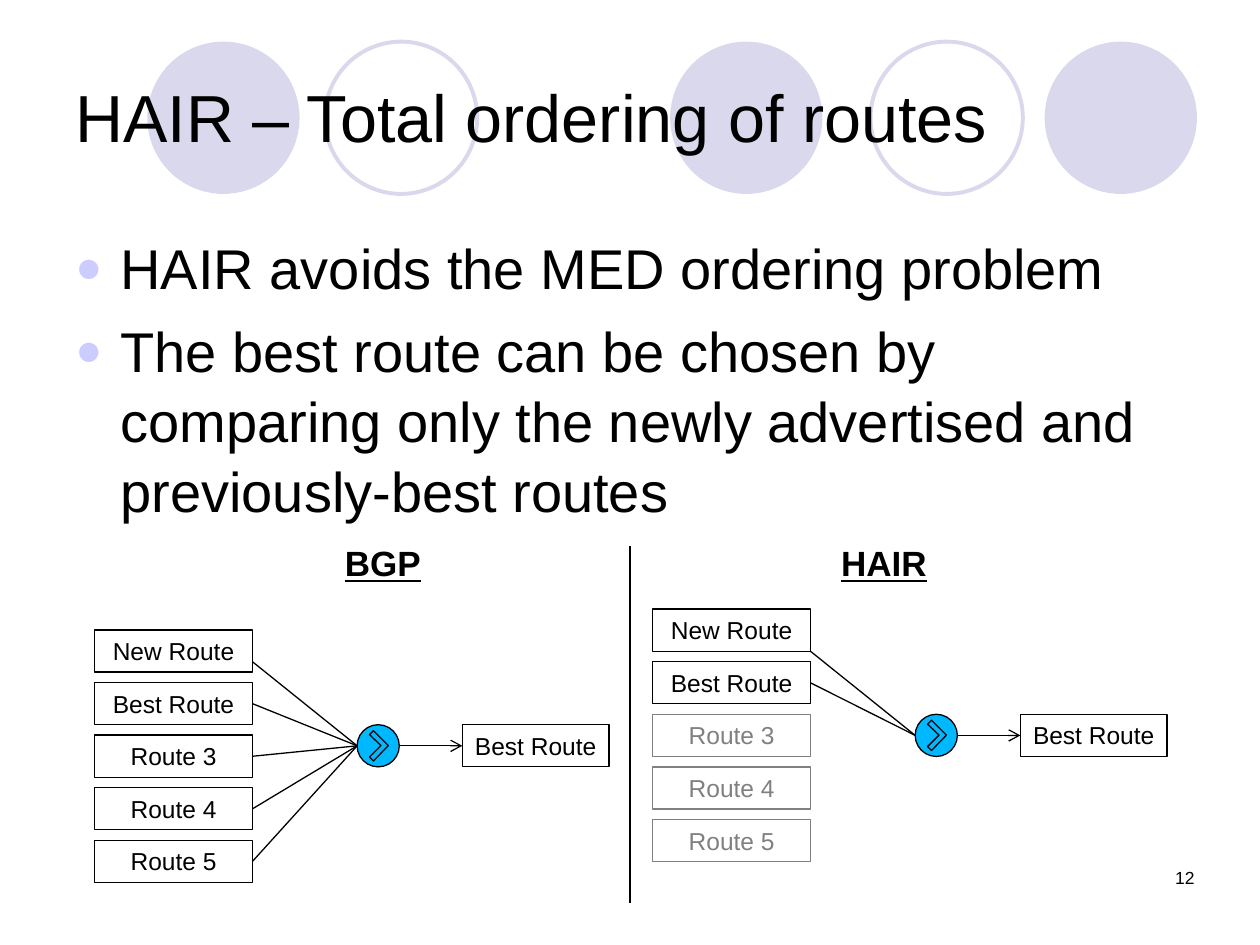
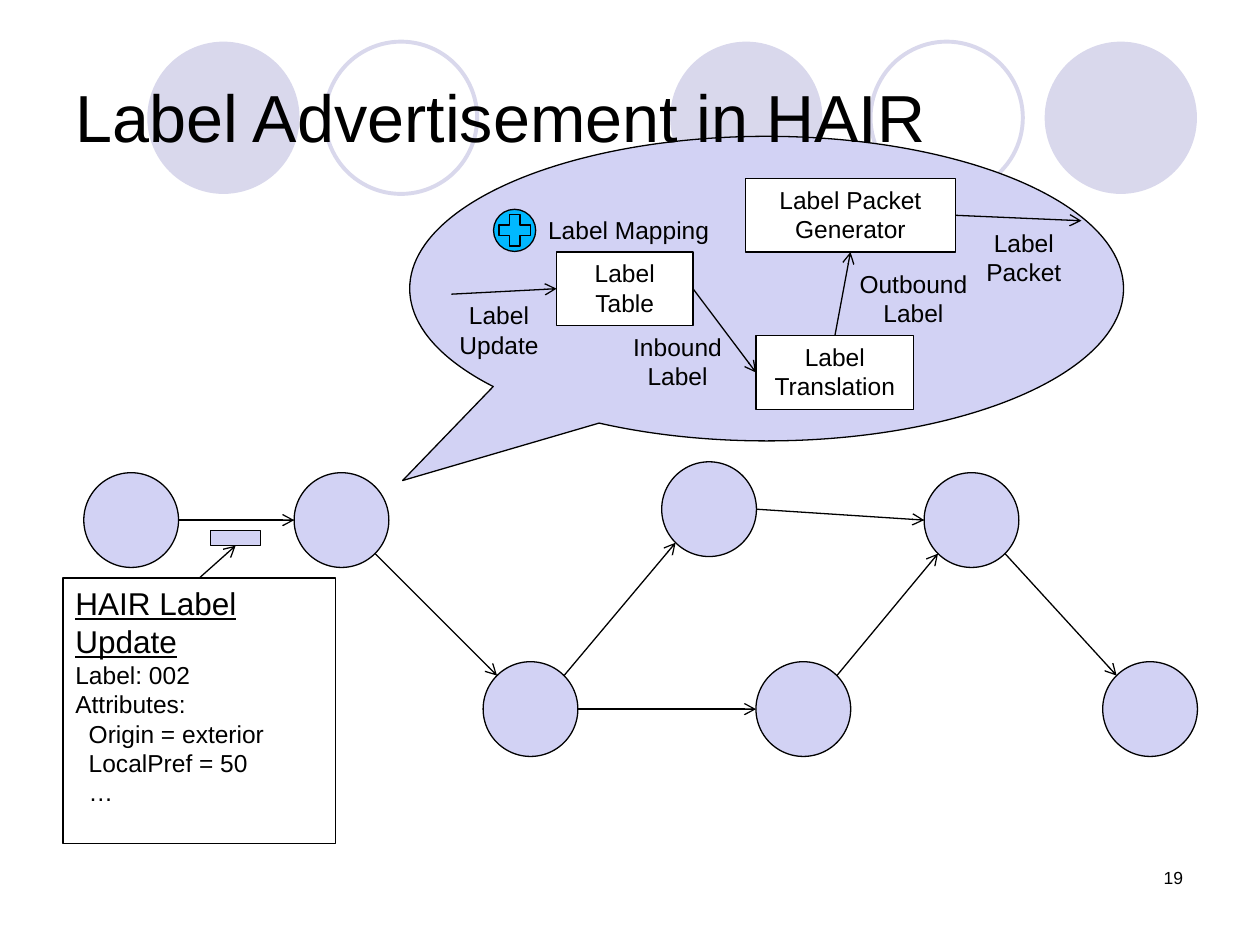
"""Build two slides on route ordering and label advertisement in HAIR."""
from collections import namedtuple
from dataclasses import dataclass
from math import hypot

from lxml import etree
from pptx import Presentation
from pptx.dml.color import RGBColor
from pptx.enum import shapes as kinds, text as layout
from pptx.oxml import ns
from pptx.util import Cm, Pt


@dataclass(frozen=True)
class Theme:
    """Hold the colours and type sizes of the deck."""
    font: str = "Arial"
    ink: str = "000000"
    muted: str = "808080"
    paper: str = "FFFFFF"
    band: str = "D9D8EC"
    bullet: str = "CCCCFF"
    node: str = "D2D2F4"
    operator: str = "00B8FF"
    title: int = 38
    body: int = 32
    heading: int = 20
    card_heading: int = 18
    label: int = 14
    footer: int = 10
    hairline: float = 0.75
    ring: float = 2.25


THEME = Theme()
SHAPE = kinds.MSO_SHAPE
ALIGN = layout.PP_ALIGN
Side = namedtuple("Side", "shape index")
TOP, LEFT, BOTTOM, RIGHT = range(4)

BAND_TOP, BAND_SIZE = 0.84, 3.07
BAND_DISCS = (13.51, 21.06, 2.97)
BAND_RINGS = (17.55, 6.55)
ROUTES = ("New Route", "Best Route", "Route 3", "Route 4", "Route 5")
ROUTE_WIDTH, ROUTE_HEIGHT, ROUTE_PITCH = 3.18, 0.85, 1.06
OPERATOR_SIZE = 0.85
CHEVRON = ((0.33, 0.12), (0.25, 0.2), (0.48, 0.42),
           (0.25, 0.65), (0.33, 0.73), (0.63, 0.42))
NODE_SIZE = 1.91
PROCESS_HEIGHT = 1.48


def cm(values):
    """Turn plain numbers into centimetre lengths."""
    return [Cm(value) for value in values]


def paint(shape, fill=None, line=THEME.ink, width=THEME.hairline):
    """Give a shape its fill and outline and remove its shadow."""
    shape.shadow.inherit = False
    if fill:
        shape.fill.solid()
        shape.fill.fore_color.rgb = RGBColor.from_string(fill)
    else:
        shape.fill.background()
    if line:
        shape.line.color.rgb = RGBColor.from_string(line)
        shape.line.width = Pt(width)
    else:
        shape.line.fill.background()
    return shape


def draw(slide, kind, box, **look):
    """Add a painted preset shape."""
    return paint(slide.shapes.add_shape(kind, *cm(box)), **look)


def set_font(paragraph, size, color=THEME.ink, bold=False, underline=False):
    """Format a paragraph's text."""
    font = paragraph.font
    font.name, font.size = THEME.font, Pt(size)
    font.bold, font.underline = bold, underline
    font.color.rgb = RGBColor.from_string(color)


def write(shape, words, size=THEME.label, align=ALIGN.CENTER,
          anchor=layout.MSO_ANCHOR.TOP, **look):
    """Fill a shape with text, one paragraph per line."""
    frame = shape.text_frame
    frame.word_wrap, frame.vertical_anchor = True, anchor
    frame.text = words
    for paragraph in frame.paragraphs:
        paragraph.alignment = align
        set_font(paragraph, size, **look)
    return frame.paragraphs


def label(slide, box, words, **look):
    """Add a free-standing text."""
    return write(slide.shapes.add_textbox(*cm(box)), words, **look)


def boxed(slide, box, words, fill=None, color=THEME.ink):
    """Add an outlined rectangle with a centred caption."""
    rectangle = draw(slide, SHAPE.RECTANGLE, box, fill=fill, line=color)
    write(rectangle, words, color=color)
    return rectangle


def link(slide, start, end, arrow=True):
    """Join two points or rectangle sides with a straight line."""
    corners = [(0, 0) if isinstance(tip, Side) else tip for tip in (start, end)]
    connector = slide.shapes.add_connector(
        kinds.MSO_CONNECTOR.STRAIGHT, *cm(corners[0]), *cm(corners[1]))
    for tip, join in ((start, connector.begin_connect), (end, connector.end_connect)):
        if isinstance(tip, Side):
            join(tip.shape, tip.index)
    connector.line.color.rgb = RGBColor.from_string(THEME.ink)
    connector.line.width = Pt(THEME.hairline)
    properties = connector._element.spPr
    if arrow:
        outline = properties.find(ns.qn("a:ln"))
        etree.SubElement(outline, ns.qn("a:tailEnd"), type="arrow")
    etree.SubElement(properties, ns.qn("a:effectLst"))


def start_slide(deck, number, number_left):
    """Add a blank slide with the band of circles and the page number."""
    slide = deck.slides.add_slide(deck.slide_layouts[6])
    for left in BAND_DISCS:
        draw(slide, SHAPE.OVAL, (left, BAND_TOP, BAND_SIZE, BAND_SIZE),
             fill=THEME.band, line=None)
    for left in BAND_RINGS:
        draw(slide, SHAPE.OVAL, (left, BAND_TOP, BAND_SIZE, BAND_SIZE),
             line=THEME.band, width=THEME.ring)
    label(slide, (number_left, 17.35, 5.89, 1.24), number,
          size=THEME.footer, align=ALIGN.RIGHT)
    return slide


def add_title(slide, words):
    """Add the slide title."""
    label(slide, (1.27, 0.76, 22.86, 3.16), words, size=THEME.title,
          align=ALIGN.LEFT, anchor=layout.MSO_ANCHOR.MIDDLE)


def add_bullets(slide, box, points):
    """Add a bulleted list."""
    frame = slide.shapes.add_textbox(*cm(box)).text_frame
    frame.word_wrap = True
    frame.text = "\n".join(points)
    for index, paragraph in enumerate(frame.paragraphs):
        paragraph.line_spacing = 1.04
        paragraph.space_before = Pt(8 if index else 0)
        properties = paragraph._p.get_or_add_pPr()
        properties.set("marL", str(Cm(0.91)))
        properties.set("indent", str(-Cm(0.91)))
        color = etree.SubElement(properties, ns.qn("a:buClr"))
        etree.SubElement(color, ns.qn("a:srgbClr"), val=THEME.bullet)
        etree.SubElement(properties, ns.qn("a:buSzPct"), val="80000")
        etree.SubElement(properties, ns.qn("a:buFont"), typeface=THEME.font)
        etree.SubElement(properties, ns.qn("a:buChar"), char="●")
        set_font(paragraph, THEME.body)


def add_operator(slide, left, top):
    """Add the disc behind an operator symbol."""
    draw(slide, SHAPE.OVAL, (left, top, OPERATOR_SIZE, OPERATOR_SIZE),
         fill=THEME.operator)


def add_comparator(slide, left, top):
    """Add a disc with a chevron that picks the best route."""
    add_operator(slide, left, top)
    corners = [cm((left + x, top + y)) for x, y in CHEVRON]
    builder = slide.shapes.build_freeform(*corners[0])
    builder.add_line_segments(corners[1:], close=True)
    paint(builder.convert_to_shape(), fill=THEME.operator)


def add_selection(slide, left, top, comparator_top, compared, first_exit):
    """Show which routes are compared to find the best one."""
    comparator_left = left + 5.29
    middle = comparator_top + OPERATOR_SIZE / 2
    add_comparator(slide, comparator_left, comparator_top)
    for row, name in enumerate(ROUTES):
        color = THEME.ink if row < compared else THEME.muted
        route = boxed(slide, (left, top + row * ROUTE_PITCH, ROUTE_WIDTH, ROUTE_HEIGHT),
                      name, color=color)
        if row < compared:
            exit_point = Side(route, RIGHT) if row else (left + ROUTE_WIDTH, top + first_exit)
            link(slide, exit_point, (comparator_left, middle), arrow=False)
    best = boxed(slide, (left + 7.41, comparator_top, 2.96, ROUTE_HEIGHT), "Best Route")
    link(slide, (comparator_left + OPERATOR_SIZE, middle), Side(best, LEFT))


def rim(node, direction):
    """Return the point on a node's edge in a given direction."""
    radius = NODE_SIZE / 2
    reach = radius / hypot(*direction)
    return [start + radius + reach * step for start, step in zip(node, direction)]


def add_network(slide):
    """Draw the routers and the links between them."""
    high, low = 9.53, 13.34
    nodes = dict(source=(1.69, high), mapper=(5.93, high), fork=(9.74, low),
                 upper=(13.34, 9.31), lower=(15.24, low),
                 merge=(18.63, high), sink=(22.23, low))
    east, west = (1, 0), (-1, 0)
    links = (("source", east, "mapper", west),
             ("mapper", (1, 1), "fork", (-1, -1)),
             ("fork", (1, -1), "upper", (-1, 1)),
             ("fork", east, "lower", west),
             ("upper", east, "merge", west),
             ("lower", (1, -1), "merge", (-1, 1)),
             ("merge", (1, 1), "sink", (-1, -1)))
    for corner in nodes.values():
        draw(slide, SHAPE.OVAL, (*corner, NODE_SIZE, NODE_SIZE), fill=THEME.node)
    for sender, leaving, receiver, arriving in links:
        link(slide, rim(nodes[sender], leaving), rim(nodes[receiver], arriving))


def add_update_card(slide):
    """Show the content of the label update on the first link."""
    packet = draw(slide, SHAPE.RECTANGLE, (4.24, 10.69, 1.02, 0.31), fill=THEME.node)
    card = draw(slide, SHAPE.RECTANGLE, (1.27, 11.65, 5.5, 5.35), fill=THEME.paper)
    lines = write(card, "HAIR Label Update\nLabel: 002\nAttributes:\n"
                  "Origin = exterior\nLocalPref = 50\n…", align=ALIGN.LEFT)
    set_font(lines[0], THEME.card_heading, underline=True)
    for attribute in lines[3:]:
        attribute._p.get_or_add_pPr().set("marL", str(Cm(0.27)))
    link(slide, Side(card, TOP), Side(packet, BOTTOM))


def add_mapping_callout(slide):
    """Show how a router turns a label update into a label packet."""
    bubble = draw(slide, SHAPE.OVAL_CALLOUT, (8.26, 2.75, 14.39, 6.14), fill=THEME.node)
    bubble.adjustments[0], bubble.adjustments[1] = -0.51, 0.63
    table, generator, translation = [
        boxed(slide, (left, top, width, PROCESS_HEIGHT), words, fill=THEME.paper)
        for left, top, width, words in (
            (11.22, 5.08, 2.75, "Label Table"),
            (15.03, 3.6, 4.23, "Label Packet Generator"),
            (15.24, 6.77, 3.18, "Label\nTranslation"))]
    link(slide, (9.1, 5.93), Side(table, LEFT))
    link(slide, Side(table, RIGHT), Side(translation, LEFT))
    link(slide, Side(translation, TOP), Side(generator, BOTTOM))
    link(slide, Side(generator, RIGHT), (21.8, 4.45))
    for left, top, width, words in ((8.47, 5.93, 3.18, "Label Update"),
                                    (12.07, 6.56, 3.18, "Inbound Label"),
                                    (19.05, 4.47, 3.18, "Label Packet"),
                                    (16.51, 5.29, 3.81, "Outbound Label")):
        label(slide, (left, top, width, 1.45), words)


def add_mapping_key(slide, left, top):
    """Name the plus sign that stands for label mapping."""
    add_operator(slide, left, top)
    plus = draw(slide, SHAPE.CROSS, (left + 0.11, top + 0.11, 0.63, 0.63),
                fill=THEME.operator)
    plus.adjustments[0] = 0.33
    label(slide, (left + OPERATOR_SIZE, top, 3.81, 0.86), "Label Mapping",
          align=ALIGN.LEFT)


def build_ordering(deck):
    """Build the slide on total ordering of routes."""
    slide = start_slide(deck, "12", 18.44)
    add_title(slide, "HAIR – Total ordering of routes")
    add_bullets(slide, (1.27, 4.52, 22.86, 7.82), (
        "HAIR avoids the MED ordering problem",
        "The best route can be chosen by comparing only the newly advertised "
        "and previously-best routes"))
    for left, width, protocol in ((2.54, 10.36, "BGP"), (13.16, 9.32, "HAIR")):
        label(slide, (left, 10.8, width, 1.12), protocol, size=THEME.heading,
              bold=True, underline=True)
    link(slide, (12.7, 18.2), (12.7, 11.01), arrow=False)
    add_selection(slide, 1.91, 12.7, 14.61, compared=5, first_exit=0.64)
    add_selection(slide, 13.16, 12.28, 14.4, compared=2, first_exit=ROUTE_HEIGHT)


def build_advertisement(deck):
    """Build the slide on label advertisement."""
    slide = start_slide(deck, "19", 18.21)
    add_network(slide)
    add_update_card(slide)
    add_mapping_callout(slide)
    add_title(slide, "Label Advertisement in HAIR")
    add_mapping_key(slide, 9.95, 4.22)


def main():
    """Build and save the deck."""
    deck = Presentation()
    deck.slide_width, deck.slide_height = cm((25.4, 19.05))
    build_ordering(deck)
    build_advertisement(deck)
    deck.save("out.pptx")


if __name__ == "__main__":
    main()
